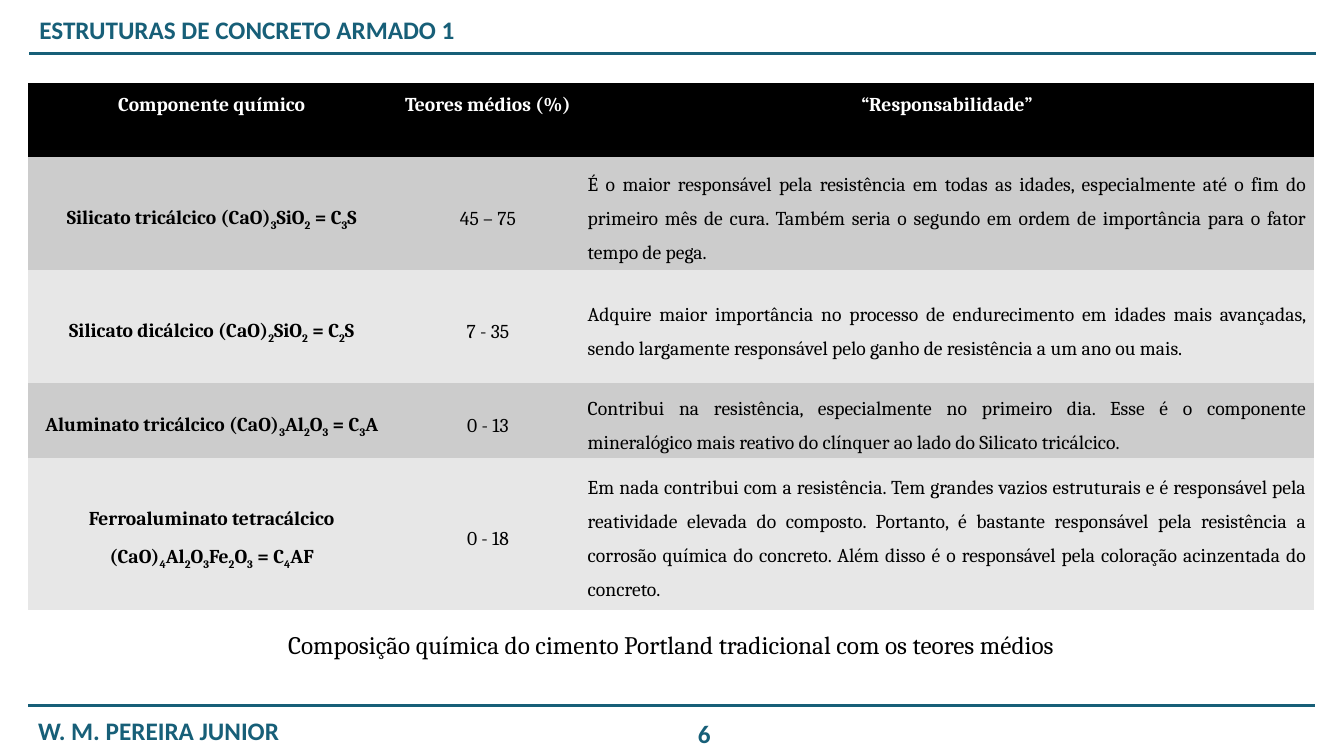
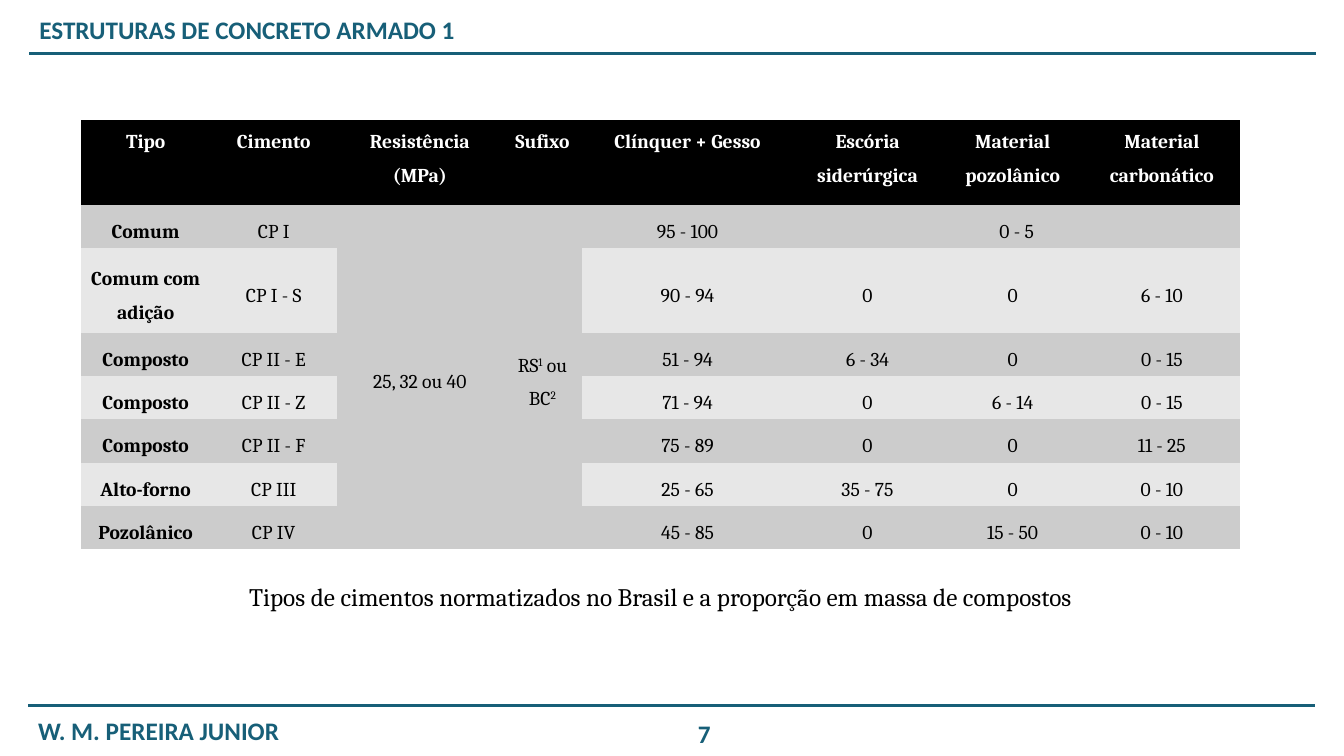
from pptx import Presentation
from pptx.dml.color import RGBColor
from pptx.enum.shapes import MSO_CONNECTOR
from pptx.enum.text import MSO_ANCHOR, MSO_AUTO_SIZE, PP_ALIGN
from pptx.oxml.ns import qn
from pptx.util import Inches, Pt
from lxml import etree

TEAL = RGBColor(0x17, 0x5F, 0x78)
BLACK = RGBColor(0x00, 0x00, 0x00)
WHITE = RGBColor(0xFF, 0xFF, 0xFF)
DARK_BAND = RGBColor(0xCC, 0xCC, 0xCC)
LIGHT_BAND = RGBColor(0xE7, 0xE7, 0xE7)

STRAIGHT = MSO_CONNECTOR.STRAIGHT
TOP, MIDDLE = MSO_ANCHOR.TOP, MSO_ANCHOR.MIDDLE
LEFT, CENTER, JUSTIFY = PP_ALIGN.LEFT, PP_ALIGN.CENTER, PP_ALIGN.JUSTIFY
NO_AUTOFIT = MSO_AUTO_SIZE.NONE

HEADING_FONT, BODY_FONT = "Calibri", "Cambria"
PLAIN_TABLE = "{2D5ABB26-0587-4C30-8999-92F81FD0307C}"
BASELINES = {"_": "-25000", "^": "30000"}
TITLE_ONLY = 5

COMPONENTS = [
    ["Componente químico", "Teores médios (%)", "“Responsabilidade”"],
    ["Silicato tricálcico (CaO)_3SiO_2 = C_3S", "45 – 75",
     "É o maior responsável pela resistência em todas as idades, especialmente "
     "até o fim do primeiro mês de cura. Também seria o segundo em ordem de "
     "importância para o fator tempo de pega."],
    ["Silicato dicálcico (CaO)_2SiO_2 = C_2S", "7 - 35",
     "Adquire maior importância no processo de endurecimento em idades mais "
     "avançadas, sendo largamente responsável pelo ganho de resistência a um "
     "ano ou mais."],
    ["Aluminato tricálcico (CaO)_3Al_2O_3 = C_3A", "0 - 13",
     "Contribui na resistência, especialmente no primeiro dia. Esse é o "
     "componente mineralógico mais reativo do clínquer ao lado do Silicato "
     "tricálcico."],
    ["Ferroaluminato tetracálcico\n(CaO)_4Al_2O_3Fe_2O_3 = C_4AF", "0 - 18",
     "Em nada contribui com a resistência. Tem grandes vazios estruturais e é "
     "responsável pela reatividade elevada do composto. Portanto, é bastante "
     "responsável pela resistência a corrosão química do concreto. Além disso "
     "é o responsável pela coloração acinzentada do concreto."],
]

CEMENTS = [
    ["Tipo", "Cimento", "Resistência (MPa)", "Sufixo", "Clínquer + Gesso",
     "Escória siderúrgica", "Material pozolânico", "Material carbonático"],
    ["Comum", "CP I", "25, 32 ou 40", "RS^1 ou BC^2", "95 - 100", "0 - 5", None, None],
    ["Comum com adição", "CP I - S", None, None, "90 - 94", "0", "0", "6 - 10"],
    ["Composto", "CP II - E", None, None, "51 - 94", "6 - 34", "0", "0 - 15"],
    ["Composto", "CP II - Z", None, None, "71 - 94", "0", "6 - 14", "0 - 15"],
    ["Composto", "CP II - F", None, None, "75 - 89", "0", "0", "11 - 25"],
    ["Alto-forno", "CP III", None, None, "25 - 65", "35 - 75", "0", "0 - 10"],
    ["Pozolânico", "CP IV", None, None, "45 - 85", "0", "15 - 50", "0 - 10"],
]


def add_run(p, text, size, font, color, bold=False):
    r = p.add_run()
    r.text = text
    r.font.size, r.font.name, r.font.bold = Pt(size), font, bold
    r.font.color.rgb = color
    return r


def split_marks(text):
    """Yield (text, mark) pieces; "_" lowers and "^" raises the next character."""
    start = 0
    for i, char in enumerate(text):
        if char in BASELINES:
            yield text[start:i], None
            yield text[i + 1], char
            start = i + 2
    if start < len(text):
        yield text[start:], None


def fill_text(shape, text, font, color, align, bold):
    tf = shape.text_frame
    tf.word_wrap = True
    tf.auto_size = NO_AUTOFIT
    tf.vertical_anchor = TOP
    p = tf.paragraphs[0]
    p.alignment = align
    add_run(p, text, 18, font, color, bold)


def add_label(s, box, text, font=HEADING_FONT, color=TEAL, align=CENTER, bold=True):
    shape = s.shapes.add_textbox(*map(Inches, box))
    fill_text(shape, text, font, color, align, bold)


def add_rule(s, left, top, width):
    line = s.shapes.add_connector(STRAIGHT, Inches(left), Inches(top),
                                  Inches(left + width), Inches(top))
    line.line.color.rgb = TEAL
    line.line.width = Pt(2.25)
    etree.SubElement(line.element.spPr, qn("a:effectLst"))


def add_frame(s, number):
    """Place the course title, both rules, the author and the page number."""
    title = s.shapes.title
    title.left, title.top, title.width, title.height = map(Inches, (0.29, 0.09, 4.57, 0.4))
    fill_text(title, "ESTRUTURAS DE CONCRETO ARMADO 1", HEADING_FONT, TEAL, LEFT, True)
    add_rule(s, 0.29, 0.53, 12.76)
    add_rule(s, 0.28, 7, 12.76)
    add_label(s, (0.28, 7.05, 2.78, 0.4), "W. M. PEREIRA JUNIOR", align=JUSTIFY)
    add_label(s, (6.66, 7.08, 0.65, 0.4), str(number))


def fill_cell(cell, text, fill, color, bold, align, anchor, margin):
    cell.fill.solid()
    cell.fill.fore_color.rgb = fill
    cell.vertical_anchor = anchor
    cell.margin_left = cell.margin_right = Inches(margin)
    cell.margin_top = cell.margin_bottom = 0
    if text is None:
        return
    tf = cell.text_frame
    for i, line in enumerate(text.split("\n")):
        p = tf.add_paragraph() if i else tf.paragraphs[0]
        p.alignment = align
        p.line_spacing = 1.5
        p.space_before = p.space_after = Pt(1)
        for piece, mark in split_marks(line):
            r = add_run(p, piece, 14, BODY_FONT, color, bold)
            if mark:
                r.font._element.set("baseline", BASELINES[mark])


def add_banded_table(s, left, top, widths, heights, rows, margin, merges=(), justified=()):
    """merges holds (row, column, last row, last column); justified holds columns."""
    frame = s.shapes.add_table(len(rows), len(widths), Inches(left), Inches(top),
                               Inches(sum(widths)), Inches(sum(heights)))
    for style in frame.element.iter(qn("a:tableStyleId")):
        style.text = PLAIN_TABLE
    table = frame.table
    table.horz_banding = False
    for column, width in zip(table.columns, widths):
        column.width = Inches(width)
    for row, height in zip(table.rows, heights):
        row.height = Inches(height)
    for i, texts in enumerate(rows):
        for j, text in enumerate(texts):
            cell = table.cell(i, j)
            if i == 0:
                fill_cell(cell, text, BLACK, WHITE, True, CENTER, TOP, margin)
            else:
                fill_cell(cell, text, DARK_BAND if i % 2 else LIGHT_BAND, BLACK, j == 0,
                          JUSTIFY if j in justified else CENTER, MIDDLE, margin)
    for i, j, last_i, last_j in merges:
        table.cell(i, j).merge(table.cell(last_i, last_j))


def add_table_slide(prs, number, left, top, widths, heights, caption_top, caption, **table):
    s = prs.slides.add_slide(prs.slide_layouts[TITLE_ONLY])
    add_frame(s, number)
    add_banded_table(s, left, top, widths, heights, **table)
    add_label(s, (left, caption_top, sum(widths), 0.4), caption,
              BODY_FONT, BLACK, bold=False)


def main():
    prs = Presentation()
    prs.slide_width, prs.slide_height = Inches(13.33), Inches(7.5)
    add_table_slide(
        prs, 6, 0.28, 0.82, [3.64, 1.84, 7.27], [0.74, 1.12, 1.12, 0.74, 1.51],
        6.19, "Composição química do cimento Portland tradicional com os teores médios",
        rows=COMPONENTS, margin=0.07, justified=(2,))
    add_table_slide(
        prs, 7, 0.8, 1.19, [1.29, 1.25, 1.65, 0.78, 2.1, 1.47, 1.41, 1.55],
        [0.84, 0.43, 0.84] + [0.43] * 5,
        5.72, "Tipos de cimentos normatizados no Brasil e a proporção em massa de compostos",
        rows=CEMENTS, margin=0.05,
        merges=[(1, 2, 7, 2), (1, 3, 7, 3), (1, 5, 1, 7)])
    prs.save("out.pptx")


if __name__ == "__main__":
    main()
